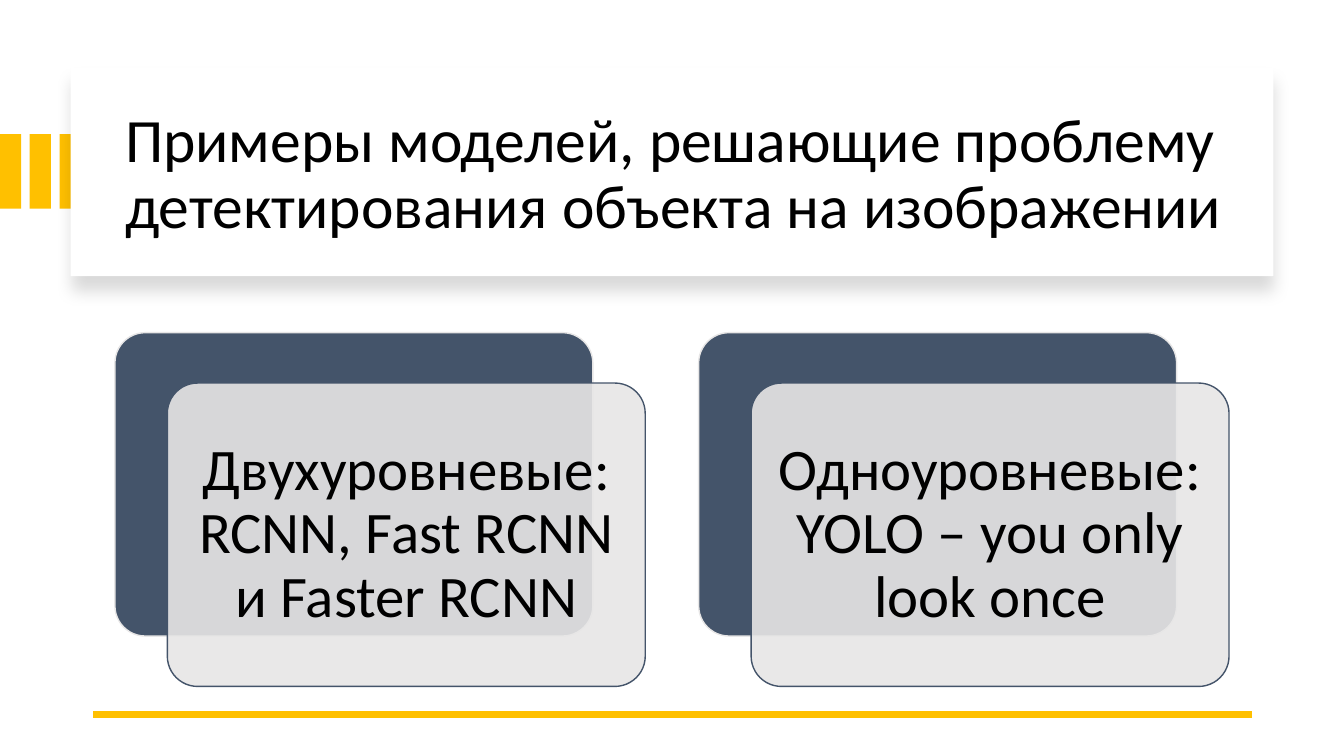
from dataclasses import dataclass

from lxml.etree import SubElement
from pptx import Presentation
from pptx.dml.color import RGBColor
from pptx.enum.shapes import MSO_CONNECTOR, MSO_SHAPE
from pptx.enum.text import MSO_ANCHOR, MSO_AUTO_SIZE, PP_ALIGN
from pptx.oxml.ns import qn
from pptx.shapes.autoshape import Shape
from pptx.util import Inches, Pt

GOLD, NAVY, GRAY, WHITE, BLACK = "FFC000", "44546A", "E7E6E6", "FFFFFF", "000000"


@dataclass(frozen=True)
class Box:
    left: float
    top: float
    width: float
    height: float

    def lengths(self) -> list[Inches]:
        return [Inches(value) for value in (self.left, self.top, self.width, self.height)]


@dataclass(frozen=True)
class ModelCard:
    left: float
    text: str


CARDS = [
    ModelCard(1.14, "Двухуровневые: RCNN, Fast RCNN и Faster RCNN"),
    ModelCard(6.93, "Одноуровневые: YOLO – you only look once"),
]


def color(value: str) -> RGBColor:
    return RGBColor.from_string(value)


def add_box(kind: MSO_SHAPE, box: Box, fill: str, line: str | None = None) -> Shape:
    shape = slide.shapes.add_shape(kind, *box.lengths())
    shape.shadow.inherit = False
    shape.fill.solid()
    shape.fill.fore_color.rgb = color(fill)
    if line:
        shape.line.color.rgb = color(line)
        shape.line.width = Pt(1)
    else:
        shape.line.fill.background()
    if kind == MSO_SHAPE.ROUNDED_RECTANGLE:
        shape.adjustments[0] = 0.1
    return shape


def write_text(shape: Shape, text: str, size: float, alignment: PP_ALIGN, inset: dict[str, Inches]) -> None:
    frame = shape.text_frame
    frame.text = text
    frame_format = {
        "word_wrap": True,
        "auto_size": MSO_AUTO_SIZE.NONE,
        "vertical_anchor": MSO_ANCHOR.MIDDLE,
        **inset,
    }
    paragraph = frame.paragraphs[0]
    font = paragraph.font
    formats = [
        (frame, frame_format),
        (paragraph, {"alignment": alignment, "line_spacing": 0.9}),
        (font, {"name": "Calibri", "size": Pt(size)}),
    ]
    for target, values in formats:
        for name, value in values.items():
            setattr(target, name, value)
    font.color.rgb = color(BLACK)


def add_alpha(color_element, percent: int) -> None:
    SubElement(color_element, qn("a:alpha"), val=str(percent * 1000))


def add_shadow(shape: Shape) -> None:
    effects = shape._element.spPr.find(qn("a:effectLst"))
    shadow = SubElement(
        effects, qn("a:outerShdw"), blurRad=str(Pt(11)), dist=str(Pt(10)),
        dir="5400000", algn="t", rotWithShape="0",
    )
    add_alpha(SubElement(shadow, qn("a:srgbClr"), val=BLACK), 15)


def add_card(card: ModelCard) -> None:
    add_box(MSO_SHAPE.ROUNDED_RECTANGLE, Box(card.left, 3.3, 4.74, 3.01), NAVY, GRAY)
    front = add_box(MSO_SHAPE.ROUNDED_RECTANGLE, Box(card.left + 0.52, 3.8, 4.74, 3.01), GRAY, NAVY)
    add_alpha(front._element.spPr.find(f"{qn('a:solidFill')}/{qn('a:srgbClr')}"), 90)
    sides = ("left", "top", "right", "bottom")
    inset = {f"margin_{side}": Inches(0.17) for side in sides}
    write_text(front, card.text, 42, PP_ALIGN.CENTER, inset)


def add_rule() -> None:
    rule = slide.shapes.add_connector(
        MSO_CONNECTOR.STRAIGHT, Inches(12.42), Inches(7.09), Inches(0.92), Inches(7.09)
    )
    rule.line.color.rgb = color(GOLD)
    rule.line.width = Pt(4.5)
    SubElement(rule._element.spPr, qn("a:effectLst"))


presentation = Presentation()
presentation.slide_width = Inches(13.33)
presentation.slide_height = Inches(7.5)
slide = presentation.slides.add_slide(presentation.slide_layouts[5])

for index in range(3):
    add_box(MSO_SHAPE.RECTANGLE, Box(index * 0.295, 1.33, 0.21, 0.74), GOLD)
add_shadow(add_box(MSO_SHAPE.RECTANGLE, Box(0.7, 0.67, 11.93, 2.07), WHITE))

title = slide.shapes.title
title.left, title.top, title.width, title.height = Box(1.14, 0.89, 11.13, 1.7).lengths()
write_text(title, "Примеры моделей, решающие проблему детектирования объекта на изображении", 44, PP_ALIGN.LEFT, {})
slide.shapes._spTree.append(title._element)

add_rule()
for card in CARDS:
    add_card(card)

presentation.save("out.pptx")
